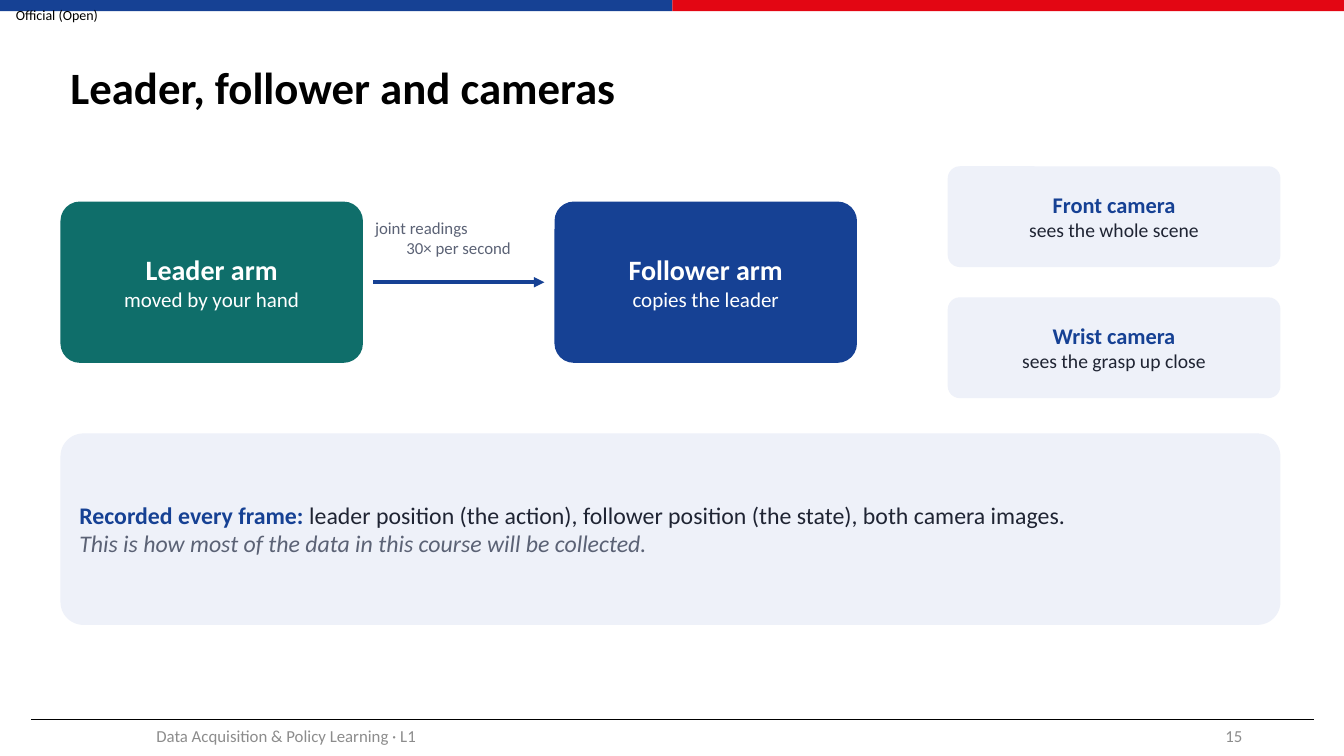
from lxml.etree import SubElement
from pptx import Presentation
from pptx.dml.color import RGBColor
from pptx.enum.shapes import MSO_CONNECTOR, MSO_SHAPE
from pptx.enum.text import MSO_ANCHOR, PP_ALIGN
from pptx.oxml.ns import qn
from pptx.util import Inches, Pt

BLUE = RGBColor(0x16, 0x41, 0x94)
RED = RGBColor(0xE3, 0x06, 0x13)
TEAL = RGBColor(0x0F, 0x6E, 0x6A)
PALE = RGBColor(0xEE, 0xF1, 0xF9)
INK = RGBColor(0x1F, 0x24, 0x33)
SLATE = RGBColor(0x5B, 0x62, 0x75)
GREY = RGBColor(0x8C, 0x8C, 0x8C)
BLACK = RGBColor(0, 0, 0)
WHITE = RGBColor(0xFF, 0xFF, 0xFF)
LEFT, CENTER, RIGHT = PP_ALIGN.LEFT, PP_ALIGN.CENTER, PP_ALIGN.RIGHT

deck = Presentation()
deck.slide_width, deck.slide_height = Inches(13.33), Inches(7.5)
page = deck.slides.add_slide(deck.slide_layouts[6])


def add_box(place, fill=None, kind=MSO_SHAPE.ROUNDED_RECTANGLE, insets=(0.12, 0.06)):
    """Add a filled shape, or a text box when there is no fill."""
    place = [Inches(length) for length in place]
    if fill is None:
        box = page.shapes.add_textbox(*place)
    else:
        box = page.shapes.add_shape(kind, *place)
        box.shadow.inherit = False
        box.fill.solid()
        box.fill.fore_color.rgb = fill
        box.line.fill.background()
        if kind == MSO_SHAPE.ROUNDED_RECTANGLE:
            box.adjustments[0] = 0.12
    frame = box.text_frame
    frame.word_wrap = True
    frame.vertical_anchor = MSO_ANCHOR.MIDDLE
    frame.margin_left = frame.margin_right = Inches(insets[0])
    frame.margin_top = frame.margin_bottom = Inches(insets[1])
    return box


def write(box, *lines):
    """Write one paragraph per line: alignment, size, then (text, colour, style) spans."""
    frame = box.text_frame
    for index, (align, size, *spans) in enumerate(lines):
        para = frame.add_paragraph() if index else frame.paragraphs[0]
        para.alignment = align
        for text, colour, style in spans:
            span = para.add_run()
            span.text = text
            font = para.font if len(spans) == 1 else span.font
            font.name, font.size = "Calibri", Pt(size)
            font.color.rgb = colour
            font.bold, font.italic = style == "bold", style == "italic"


# Top band, heading and footer
for left, colour in ((0, BLUE), (6.67, RED)):
    add_box((left, 0, 6.67, 0.11), colour, MSO_SHAPE.RECTANGLE)

marking = add_box((0, 0, 1.13, 0.29), insets=(0, 0))
write(marking, (CENTER, 10, ("Official (Open)", BLACK, "")))

title = add_box((0.6, 0.3, 12.08, 1.18), insets=(0.1, 0.05))
write(title, (LEFT, 32, ("Leader, follower and cameras", BLACK, "bold")))
title.text_frame.paragraphs[0].line_spacing = 0.9

for left, width, align, text in (
    (0.59, 4.5, CENTER, "Data Acquisition & Policy Learning · L1"),
    (9.42, 3, RIGHT, "15"),
):
    footer = add_box((left, 7.1, width, 0.4), insets=(0.1, 0.05))
    write(footer, (align, 12, (text, GREY, "")))

# Footer rule and the arrow between the arms
for start, end, height, colour, weight in (
    (0.31, 13.03, 7.14, BLACK, 0.5),
    (3.7, 5.4, 2.8, BLUE, 2.5),
):
    line = page.shapes.add_connector(
        MSO_CONNECTOR.STRAIGHT, Inches(start), Inches(height), Inches(end), Inches(height)
    )
    line.line.color.rgb = colour
    line.line.width = Pt(weight)
    SubElement(line.element.spPr, qn("a:effectLst"))
arrow = line
SubElement(arrow.line._get_or_add_ln(), qn("a:tailEnd"), type="triangle")

# Arms and cameras
for place, fill, name, name_size, name_colour, role, role_size, role_colour in (
    ((0.6, 2, 3, 1.6), TEAL, "Leader arm", 20, WHITE, "moved by your hand", 15, WHITE),
    ((5.5, 2, 3, 1.6), BLUE, "Follower arm", 20, WHITE, "copies the leader", 15, WHITE),
    ((9.4, 1.65, 3.3, 1), PALE, "Front camera", 16, BLUE, "sees the whole scene", 14, INK),
    ((9.4, 2.95, 3.3, 1), PALE, "Wrist camera", 16, BLUE, "sees the grasp up close", 14, INK),
):
    write(
        add_box(place, fill),
        (CENTER, name_size, (name, name_colour, "bold")),
        (CENTER, role_size, (role, role_colour, "")),
    )

arrow_label = add_box((3.6, 2.1, 1.9, 0.6))
arrow_label.text_frame.vertical_anchor = MSO_ANCHOR.TOP
write(
    arrow_label,
    (LEFT, 12, ("joint readings", SLATE, "")),
    (CENTER, 12, ("30× per second", SLATE, "")),
)

# What is recorded
write(
    add_box((0.6, 4.3, 12.1, 1.9), PALE),
    (
        LEFT,
        17,
        ("Recorded every frame: ", BLUE, "bold"),
        ("leader position (the action), follower position (the state), both camera images.", INK, ""),
    ),
    (LEFT, 17, ("This is how most of the data in this course will be collected.", SLATE, "italic")),
)

deck.save("out.pptx")
